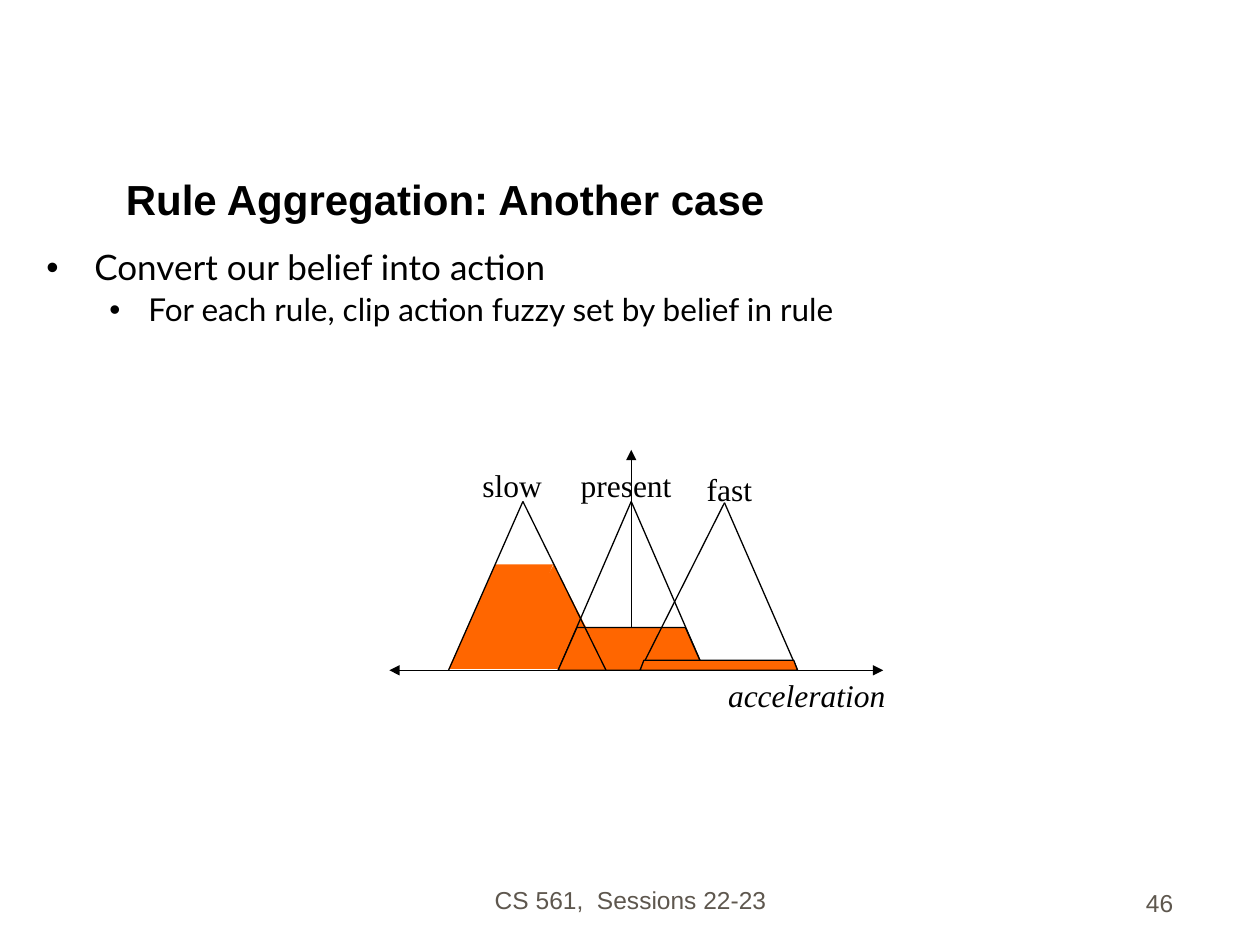
import pptx
import pptx.util
import pptx.dml.color
import pptx.enum.shapes
import pptx.enum.text
import pptx.oxml.ns
import lxml.etree

WIDE, HIGH = 10, 7.5
BASE = 5.32
HUES = {"ink": "000000", "clip": "FF6600", "foot": "5E574E"}
SERIF = "Times New Roman"
KINDS = pptx.enum.shapes.MSO_SHAPE
ALIGN = pptx.enum.text.PP_ALIGN
SIDE = pptx.enum.text.MSO_ANCHOR


def inch(*nums):
    """Turn inches into lengths."""
    return [pptx.util.Inches(num) for num in nums]


def hue(name):
    """Look up a colour by its role."""
    return pptx.dml.color.RGBColor.from_string(HUES[name])


def add_tag(host, name, **attrs):
    """Append a drawing tag to an XML host."""
    tag = lxml.etree.SubElement(host, pptx.oxml.ns.qn(name))
    for key, val in attrs.items():
        tag.set(key, val)


def add_text(slide, box, *rows, size=18, font=SERIF, color="ink", bold=False,
             slant=False, align=ALIGN.LEFT, side=SIDE.TOP, wrap=True):
    """Place a text box with one paragraph per row."""
    frame = slide.shapes.add_textbox(*inch(*box)).text_frame
    frame.word_wrap = wrap
    frame.vertical_anchor = side
    for num, row in enumerate(rows):
        para = frame.add_paragraph() if num else frame.paragraphs[0]
        para.alignment = align
        run = para.add_run()
        run.text = row
        face = run.font
        face.size, face.name = pptx.util.Pt(size), font
        face.bold, face.italic = bold, slant
        face.color.rgb = hue(color)
    return frame


def add_points(slide, box, points):
    """Place bullet points given as text, size, margin and hang."""
    frame = add_text(slide, box, *[point[0] for point in points], font="Lato")
    for level, (para, point) in enumerate(zip(frame.paragraphs, points)):
        text, size, margin, hang = point
        para.level = level
        para.line_spacing = 0.9
        para.space_before = pptx.util.Pt(size * 0.2)
        para.runs[0].font.size = pptx.util.Pt(size)
        props = para._p.get_or_add_pPr()
        left, back = inch(margin, -hang)
        props.set("marL", str(left))
        props.set("indent", str(back))
        add_tag(props, "a:buFont", typeface="Arial")
        add_tag(props, "a:buChar", char="•")


def add_line(slide, start, end, head=False, tail=False):
    """Draw a thin line with arrowheads on demand."""
    line = slide.shapes.add_connector(
        pptx.enum.shapes.MSO_CONNECTOR.STRAIGHT, *inch(*start, *end))
    line.line.color.rgb = hue("ink")
    line.line.width = pptx.util.Pt(0.75)
    stroke = line.line._get_or_add_ln()
    for name, shown in (("a:headEnd", head), ("a:tailEnd", tail)):
        if shown:
            add_tag(stroke, name, type="triangle")
    add_tag(line._element.spPr, "a:effectLst")


def paint(shape):
    """Give a shape the flat clip fill."""
    shape.shadow.inherit = False
    shape.fill.solid()
    shape.fill.fore_color.rgb = hue("clip")


def add_block(slide, kind, box, skew):
    """Draw a filled preset without outline."""
    shape = slide.shapes.add_shape(kind, *inch(*box))
    shape.adjustments[0] = skew
    paint(shape)
    shape.line.fill.background()


def add_clip(slide, left, right, top, inset):
    """Draw a belief set clipped at its top."""
    marks = [(left, BASE), (left + inset, top),
             (right - inset, top), (right, BASE)]
    spots = [tuple(inch(*mark)) for mark in marks]
    pen = slide.shapes.build_freeform(*spots[0], scale=1.0)
    pen.add_line_segments(spots[1:], close=True)
    shape = pen.convert_to_shape()
    paint(shape)
    shape.line.color.rgb = hue("ink")
    shape.line.width = pptx.util.Pt(0.75)


def add_peak(slide, left, tip, right, top):
    """Draw the two flanks of a fuzzy set."""
    for foot in (left, right):
        add_line(slide, (foot, BASE), (tip, top))


def add_label(slide, text, box, slant=False):
    """Name a set or an axis."""
    add_text(slide, box, text, slant=slant, wrap=False)


def draw_sets(slide):
    """Draw the axes, the fuzzy sets and their clips."""
    add_block(slide, KINDS.ISOSCELES_TRIANGLE, (3.9, 4.48, 0.92, 0.83), 0.54)
    add_block(slide, KINDS.PARALLELOGRAM, (3.56, 4.48, 0.83, 0.83), 0.45)
    add_line(slide, (3.09, BASE), (7.01, BASE), head=True, tail=True)
    add_line(slide, (5.01, BASE), (5.01, 3.57), tail=True)
    add_peak(slide, 4.43, 5.01, 5.59, 3.98)
    add_label(slide, "acceleration", (5.68, BASE, 1.45, 0.4), slant=True)
    add_label(slide, "present", (4.51, 3.65, 0.92, 0.4))
    add_clip(slide, 4.43, 5.59, 4.98, 0.15)
    add_peak(slide, 3.56, 4.15, 4.81, 3.98)
    add_label(slide, "slow", (3.73, 3.65, 0.67, 0.4))
    add_peak(slide, 5.08, 5.75, 6.33, 3.99)
    add_label(slide, "fast", (5.51, 3.68, 0.56, 0.4))
    add_clip(slide, 5.08, 6.33, 5.24, 0.03)


def main():
    """Build and save the slide."""
    deck = pptx.Presentation()
    deck.slide_width, deck.slide_height = inch(WIDE, HIGH)
    slide = deck.slides.add_slide(deck.slide_layouts[6])
    foot = dict(size=14, font="Arial", color="foot", side=SIDE.BOTTOM)
    add_text(slide, (3.42, 6.81, 3.17, 0.5), "CS 561,  Sessions 22-23",
             align=ALIGN.CENTER, **foot)
    add_text(slide, (7.33, 6.83, 2.08, 0.5), "46", align=ALIGN.RIGHT, **foot)
    add_text(slide, (0.9, 0.23, 8.88, 1.6), "Rule Aggregation: Another case",
             size=24, font="Arial", bold=True, side=SIDE.BOTTOM)
    add_points(slide, (0.27, 1.94, 9.52, 1), [
        ("Convert our belief into action", 20, 0.38, 0.38),
        ("For each rule, clip action fuzzy set by belief in rule",
         18, 0.81, 0.31)])
    draw_sets(slide)
    deck.save("out.pptx")


if __name__ == "__main__":
    main()
